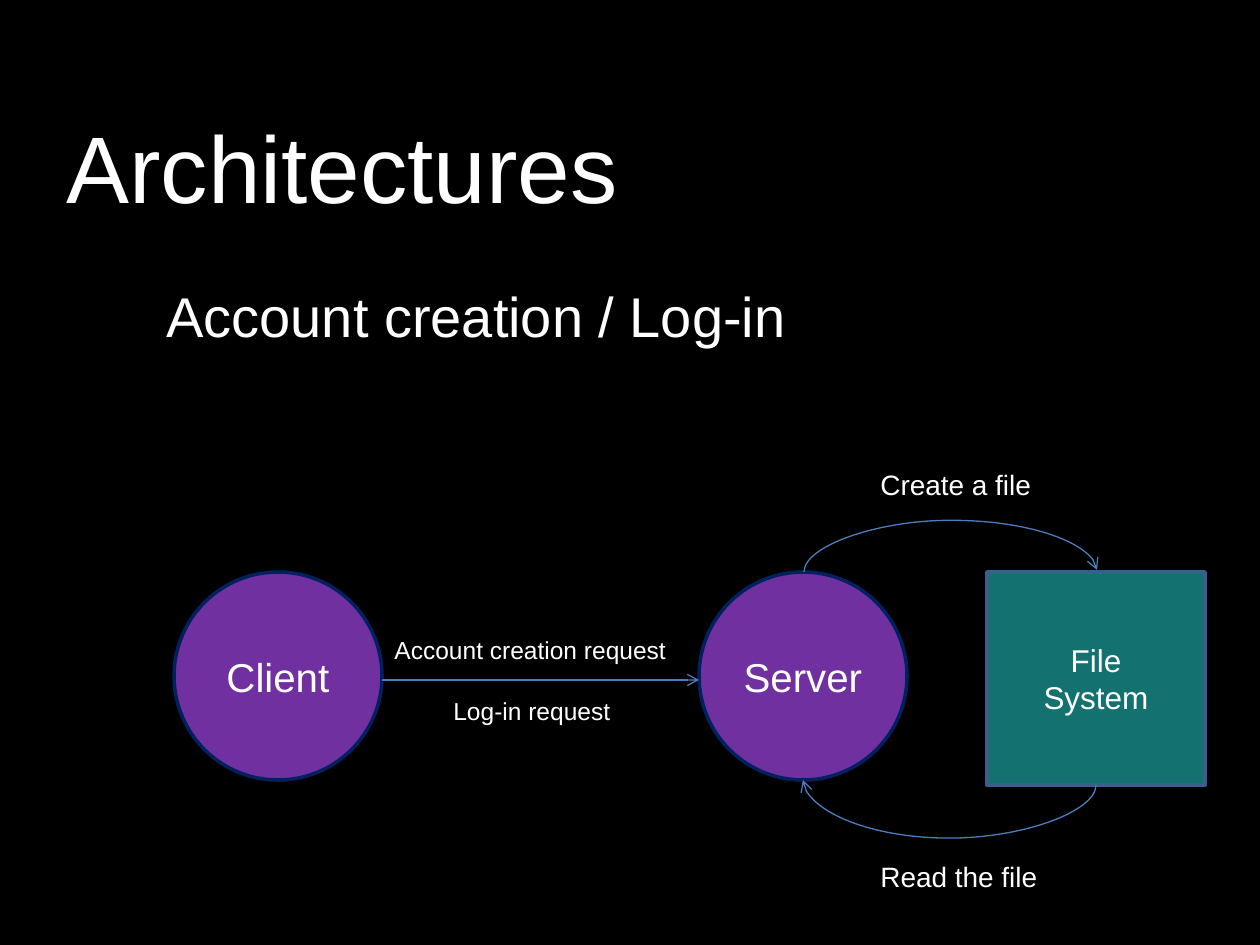
"""Build a slide on account creation and log-in between client, server and file system."""
from dataclasses import dataclass

from lxml.etree import SubElement
from pptx import Presentation
from pptx.dml.color import RGBColor
from pptx.enum.shapes import MSO_CONNECTOR, MSO_SHAPE
from pptx.enum.text import MSO_ANCHOR, MSO_AUTO_SIZE, PP_ALIGN
from pptx.oxml.ns import qn
from pptx.util import Emu, Pt

EMU_PER_PX = 914400 / 126


def px(length):
    return Emu(round(length * EMU_PER_PX))


@dataclass(frozen=True)
class Theme:
    font: str = "Arial"
    background: str = "000000"
    text: str = "FFFFFF"
    circle: str = "7030A0"
    circle_line: str = "002060"
    storage: str = "13716F"
    storage_line: str = "3A5F8C"
    arrow: str = "4B7EBC"
    title_size: int = 54
    subtitle_size: int = 32
    circle_size: int = 23
    storage_size: int = 18
    file_label_size: int = 16
    request_label_size: int = 14
    outline_width: float = 2
    arrow_width: float = 0.75


class SlideBuilder:
    def __init__(self, slide, theme):
        self.slide = slide
        self.theme = theme
        fill = slide.background.fill
        fill.solid()
        fill.fore_color.rgb = RGBColor.from_string(theme.background)

    def set_text(self, text_frame, text, size, alignment=PP_ALIGN.LEFT):
        text_frame.text = text
        for paragraph in text_frame.paragraphs:
            paragraph.alignment = alignment
            for run in paragraph.runs:
                run.font.name = self.theme.font
                run.font.size = Pt(size)
                run.font.color.rgb = RGBColor.from_string(self.theme.text)

    def text(self, box, text, size, anchor=MSO_ANCHOR.TOP):
        text_frame = self.slide.shapes.add_textbox(*map(px, box)).text_frame
        text_frame.word_wrap = True
        text_frame.vertical_anchor = anchor
        self.set_text(text_frame, text, size)
        return text_frame

    def label(self, box, text, size, wrap=False):
        text_frame = self.text(box, text, size)
        text_frame.word_wrap = wrap
        text_frame.auto_size = MSO_AUTO_SIZE.SHAPE_TO_FIT_TEXT

    def node(self, kind, box, text, size, fill, line):
        shape = self.slide.shapes.add_shape(kind, *map(px, box))
        shape.shadow.inherit = False
        shape.fill.solid()
        shape.fill.fore_color.rgb = RGBColor.from_string(fill)
        shape.line.color.rgb = RGBColor.from_string(line)
        shape.line.width = Pt(self.theme.outline_width)
        shape.text_frame.vertical_anchor = MSO_ANCHOR.MIDDLE
        self.set_text(shape.text_frame, text, size, PP_ALIGN.CENTER)

    def circle(self, left, top, diameter, text):
        theme = self.theme
        self.node(MSO_SHAPE.OVAL, (left, top, diameter, diameter), text,
                  theme.circle_size, theme.circle, theme.circle_line)

    def storage(self, box, text):
        theme = self.theme
        self.node(MSO_SHAPE.RECTANGLE, box, text,
                  theme.storage_size, theme.storage, theme.storage_line)

    def arrow(self, start, end, kind=MSO_CONNECTOR.STRAIGHT):
        connector = self.slide.shapes.add_connector(kind, *map(px, start + end))
        connector.line.color.rgb = RGBColor.from_string(self.theme.arrow)
        connector.line.width = Pt(self.theme.arrow_width)
        properties = connector._element.spPr
        SubElement(properties.find(qn("a:ln")), qn("a:tailEnd"), type="arrow")
        SubElement(properties, qn("a:effectLst"))
        return connector

    def arc(self, start, end, bend):
        """Draw a curved arrow that leaves and arrives vertically, turning at height bend."""
        (start_x, start_y), (end_x, end_y) = start, end
        connector = self.arrow(start, end, MSO_CONNECTOR.CURVE)
        width, height = abs(end_y - start_y), abs(end_x - start_x)
        connector.left = px((start_x + end_x - width) / 2)
        connector.top = px((start_y + end_y - height) / 2)
        connector.width, connector.height = px(width), px(height)
        properties = connector._element.spPr
        transform = properties.find(qn("a:xfrm"))
        transform.set("rot", str(90 * 60000))
        transform.set("flipH", str(int(start_y > end_y)))
        transform.set("flipV", str(int(start_x < end_x)))
        geometry = properties.find(qn("a:prstGeom"))
        adjustments = geometry.find(qn("a:avLst"))
        if adjustments is None:
            adjustments = SubElement(geometry, qn("a:avLst"))
        ratio = (bend - start_y) / (end_y - start_y)
        SubElement(adjustments, qn("a:gd"), name="adj1", fmla=f"val {round(ratio * 100000)}")


def main():
    presentation = Presentation()
    presentation.slide_width, presentation.slide_height = px(1260), px(945)
    theme = Theme()
    builder = SlideBuilder(presentation.slides.add_slide(presentation.slide_layouts[6]), theme)

    builder.text((54, 87, 1134, 158), "Architectures", theme.title_size, MSO_ANCHOR.MIDDLE)
    builder.text((154, 275, 1043, 411), "Account creation / Log-in", theme.subtitle_size)

    node_top, diameter = 572, 208
    client_left, server_left = 174, 699
    server_middle = server_left + diameter // 2
    storage_left, storage_width, storage_height = 987, 218, 213
    storage_middle = storage_left + storage_width // 2
    builder.circle(client_left, node_top, diameter, "Client")
    builder.circle(server_left, node_top, diameter, "Server")
    builder.storage((storage_left, node_top, storage_width, storage_height), "File\nSystem")

    builder.arrow((client_left + diameter, 680), (server_left, 680))
    builder.label((382, 629, 309, 43), "Account creation request", theme.request_label_size)
    builder.label((441, 690, 190, 43), "Log-in request", theme.request_label_size)

    builder.arc((server_middle + 1, node_top), (storage_middle + 1, node_top - 2), 520)
    builder.label((868, 461, 446, 47), "Create a file", theme.file_label_size, wrap=True)
    builder.arc((storage_middle, node_top + storage_height),
                (server_middle, node_top + diameter), 838)
    builder.label((868, 853, 184, 47), "Read the file", theme.file_label_size)

    presentation.save("out.pptx")


if __name__ == "__main__":
    main()
